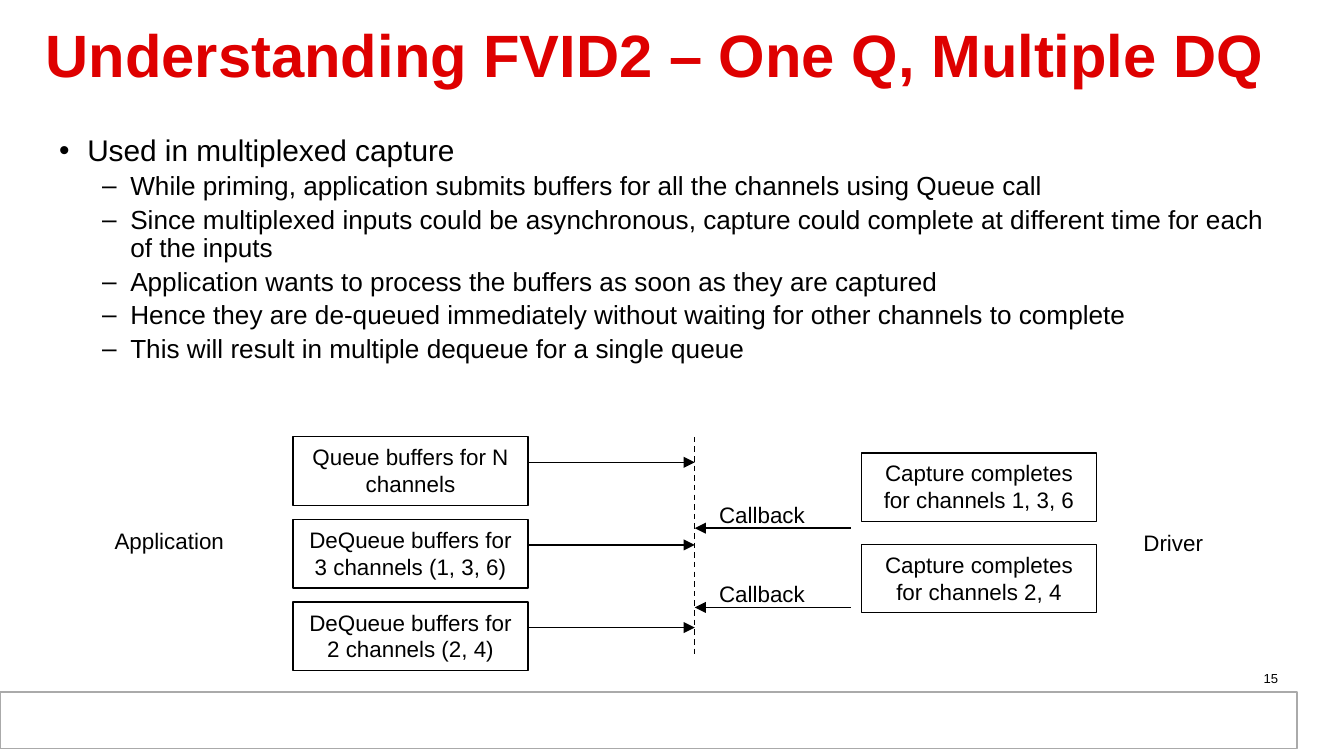
import pptx
import pptx.dml.color
import pptx.enum.dml
import pptx.enum.shapes
import pptx.enum.text
import pptx.oxml.ns
import pptx.util
from lxml import etree

Inches, Pt = pptx.util.Inches, pptx.util.Pt
ALIGN, ANCHOR = pptx.enum.text.PP_ALIGN, pptx.enum.text.MSO_ANCHOR
BLACK, WHITE, RED, GREY = "000000", "FFFFFF", "DE0000", "AAAAAA"


def color(value):
    return pptx.dml.color.RGBColor.from_string(value)


def add_xml(parent, tag, **attributes):
    return etree.SubElement(parent, pptx.oxml.ns.qn(tag), **attributes)


def add_para(frame, text, size, first, align=ALIGN.LEFT, ink=BLACK, bold=False):
    para = frame.paragraphs[0] if first else frame.add_paragraph()
    para.alignment = align
    span = para.add_run()
    span.text = text
    span.font.name, span.font.size, span.font.bold = "Arial", Pt(size), bold
    span.font.color.rgb = color(ink)
    return para


def set_frame(frame, anchor, side=0.08, edge=0.04):
    frame.word_wrap = True
    frame.vertical_anchor = anchor
    frame.margin_left = frame.margin_right = Inches(side)
    frame.margin_top = frame.margin_bottom = Inches(edge)
    return frame


def add_label(page, box, text, size=12, align=ALIGN.CENTER, anchor=ANCHOR.MIDDLE, **style):
    label = page.shapes.add_textbox(*map(Inches, box))
    frame = set_frame(label.text_frame, anchor)
    return add_para(frame, text, size, True, align, **style)


def add_rect(page, box, fill=None, line=None):
    rect = page.shapes.add_shape(
        pptx.enum.shapes.MSO_SHAPE.RECTANGLE, *map(Inches, box))
    rect.shadow.inherit = False
    if fill:
        rect.fill.solid()
        rect.fill.fore_color.rgb = color(fill)
    else:
        rect.fill.background()
    if line:
        rect.line.color.rgb = color(line)
        rect.line.width = Pt(0.75)
    else:
        rect.line.fill.background()
    return rect


def add_step(page, box, text):
    frame = set_frame(add_rect(page, box, line=BLACK).text_frame, ANCHOR.TOP, 0.1, 0.05)
    add_para(frame, text, 12, True, ALIGN.CENTER)


def add_line(page, start, end, arrow=True):
    line = page.shapes.add_connector(
        pptx.enum.shapes.MSO_CONNECTOR.STRAIGHT, *map(Inches, start + end))
    line.line.color.rgb = color(BLACK)
    line.line.width = Pt(0.75)
    properties = line._element.spPr
    if arrow:
        add_xml(properties.find(pptx.oxml.ns.qn("a:ln")), "a:tailEnd", type="triangle")
    else:
        line.line.dash_style = pptx.enum.dml.MSO_LINE.DASH
    add_xml(properties, "a:effectLst")


def add_footer(page, box):
    left, top, width, height = box
    add_rect(page, (left + 0.05, top + 0.04, width - 0.09, height - 0.04), WHITE)
    add_rect(page, box, WHITE, GREY)
    add_label(page, (7.26, top - 0.2, 2.33, 0.17), "15", 7, ALIGN.RIGHT, ANCHOR.TOP)


def add_bullets(page, box, items):
    body = page.shapes.add_textbox(*map(Inches, box))
    frame = set_frame(body.text_frame, ANCHOR.TOP)
    for index, (level, text) in enumerate(items):
        size, indent, mark, before = ((16, 0.21, "•", 6.7), (14, 0.53, "–", 2.8))[level]
        para = add_para(frame, text, size, index == 0)
        para.level = level
        para.line_spacing = 0.9
        para.space_before = Pt(before)
        props = para._p.get_or_add_pPr()
        props.set("marL", str(Inches(indent)))
        props.set("indent", str(-Inches(0.21)))
        add_xml(props, "a:buFont", typeface="Arial")
        add_xml(props, "a:buChar", char=mark)


def add_flow(page, box):
    left, top, width, height = box
    step_width, step_height = 1.75, 0.51
    step_left, border = left + 1.5, left + 4.49

    # Border between application and driver
    add_line(page, (border, top), (border, top + 1.62), arrow=False)

    # Application calls
    calls = ("Queue buffers for N channels",
             "DeQueue buffers for 3 channels (1, 3, 6)",
             "DeQueue buffers for 2 channels (2, 4)")
    pitch = (height - step_height) / 2
    for index, text in enumerate(calls):
        y = top + index * pitch
        add_step(page, (step_left, y, step_width, step_height), text)
        add_line(page, (step_left + step_width, y + 0.19), (border, y + 0.19))

    # Driver completions and their callbacks
    completions = ((0.12, 0.68, "Capture completes for channels 1, 3, 6"),
                   (0.8, 1.27, "Capture completes for channels 2, 4"))
    for step_top, arrow_top, text in completions:
        add_step(page, (left + 5.73, top + step_top, step_width, step_height), text)
        y = top + arrow_top
        add_line(page, (left + 5.65, y), (border, y))
        add_label(page, (border, y - 0.25, 1, 0.3), "Callback")

    # Names of the two sides
    add_label(page, (left, top + 0.62, 1.16, 0.3), "Application")
    add_label(page, (left + width - 1.16, top + 0.64, 1.16, 0.3), "Driver")


# A wide page, 16 to 9
deck = pptx.Presentation()
deck.slide_width, deck.slide_height = Inches(10), Inches(10 * 9 / 16)
page = deck.slides.add_slide(deck.slide_layouts[6])

add_footer(page, (0, 5.15, 9.65, 0.42))
title = add_label(page, (0.26, 0.11, 9.25, 0.67),
                  "Understanding FVID2 – One Q, Multiple DQ",
                  32, ALIGN.LEFT, ink=RED, bold=True)
title.line_spacing = 0.85
add_bullets(page, (0.36, 0.97, 9.26, 2.21), (
    (0, "Used in multiplexed capture"),
    (1, "While priming, application submits buffers for all the channels using Queue call"),
    (1, "Since multiplexed inputs could be asynchronous, capture could complete "
        "at different time for each of the inputs"),
    (1, "Application wants to process the buffers as soon as they are captured"),
    (1, "Hence they are de-queued immediately without waiting for other channels to complete"),
    (1, "This will result in multiple dequeue for a single queue"),
))
add_flow(page, (0.68, 3.25, 8.63, 1.74))
deck.save("out.pptx")
